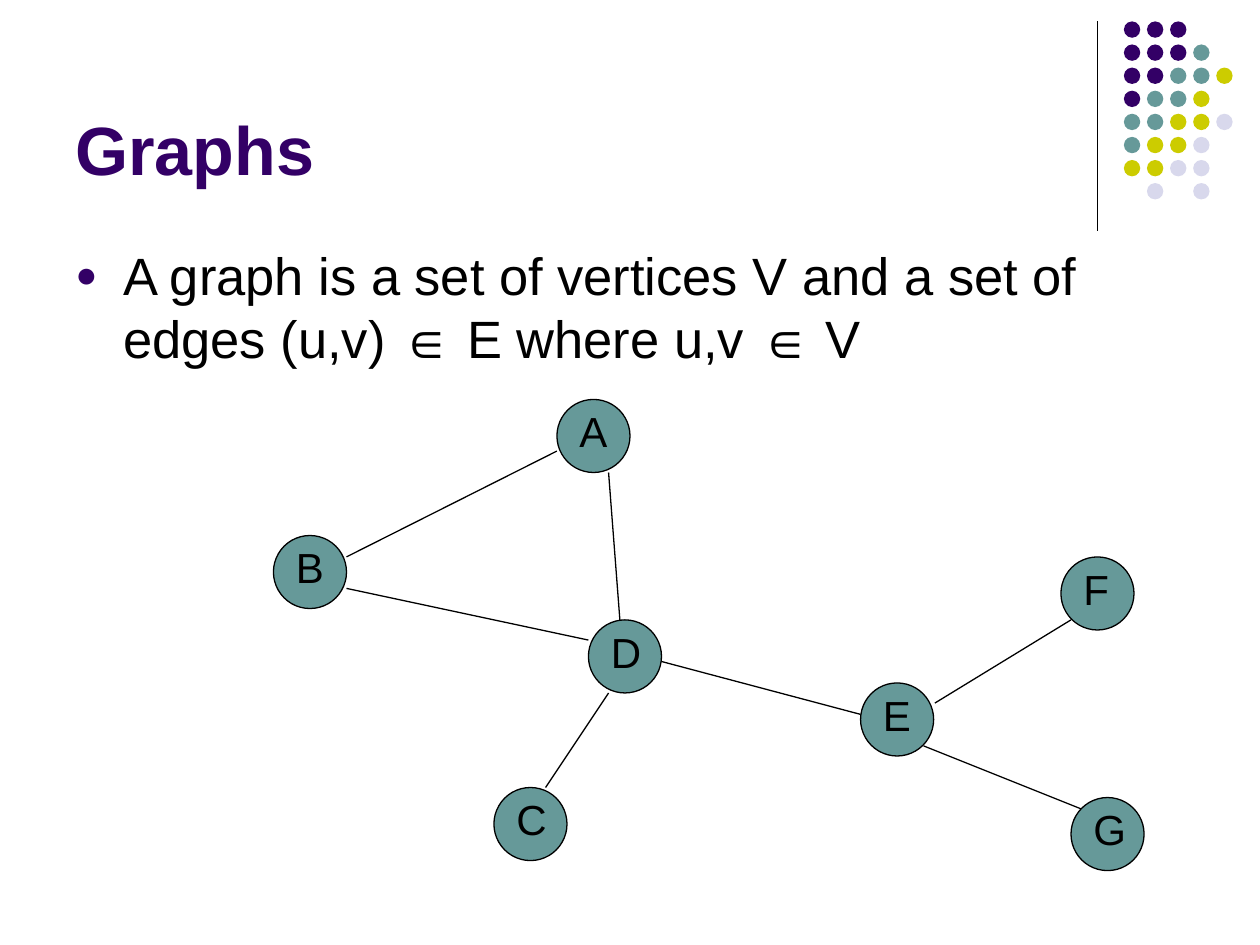
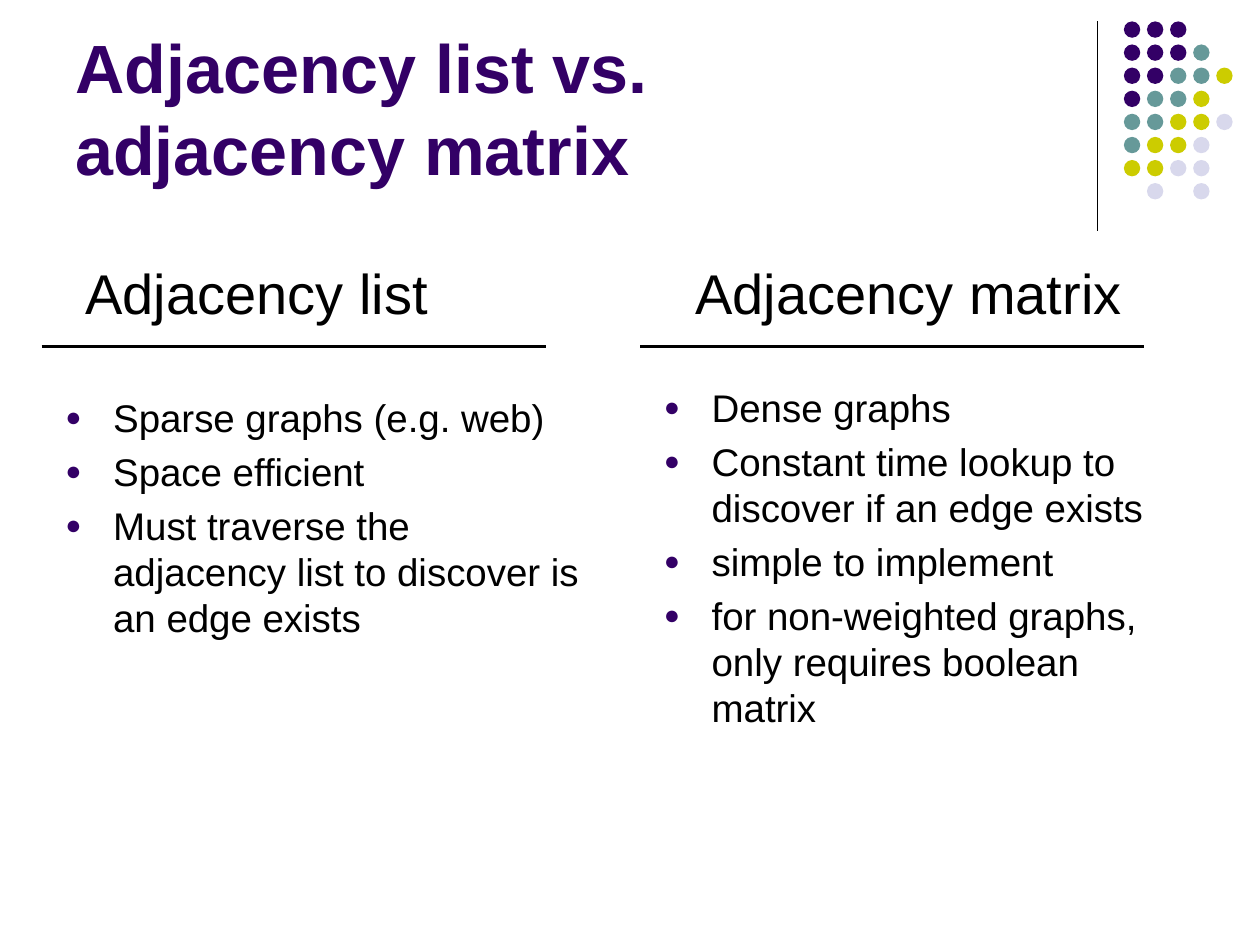
from dataclasses import dataclass

from lxml import etree
from pptx import Presentation
from pptx.dml.color import RGBColor
from pptx.enum.shapes import MSO_CONNECTOR, MSO_SHAPE
from pptx.enum.text import MSO_ANCHOR
from pptx.oxml.ns import qn
from pptx.util import Inches, Pt

OVAL = MSO_SHAPE.OVAL
LINE = MSO_CONNECTOR.STRAIGHT
BOTTOM = MSO_ANCHOR.BOTTOM
TOP = MSO_ANCHOR.TOP

HUES = {
    "ink": "000000",
    "plum": "330066",
    "teal": "669999",
    "lime": "CCCC00",
    "mist": "D8D8EC",
}
DOT_HUES = {"p": "plum", "t": "teal", "l": "lime", "m": "mist"}
DOT_ROWS = ["ppp", "pppt", "ppttl", "pttl", "ttllm", "tllm", "llmm", " m m"]
DOT_STEP = 0.55 / 3
DOT_SIZE = 0.13
NODE_SIZE = 0.58


@dataclass
class Box:
    left: float
    top: float
    width: float
    height: float


@dataclass
class Style:
    size: float
    hue: str = "ink"
    bold: bool = False
    bullet: bool = False
    anchor: int = TOP


@dataclass
class Node:
    name: str
    left: float
    top: float


@dataclass
class Edge:
    x1: float
    y1: float
    x2: float
    y2: float


@dataclass
class Column:
    head: str
    head_box: Box
    body_box: Box
    rule: Edge
    items: list[str]


TITLE = Style(39, "plum", bold=True, anchor=BOTTOM)
LEAD = Style(30, bullet=True)
HEAD = Style(32)
ITEM = Style(22, bullet=True)
LABEL = Style(24)
TITLE_BOX = Box(0.5, 0.13, 8.25, 1.42)

NODES = [
    Node("A", 4.42, 3.17),
    Node("B", 2.17, 4.25),
    Node("C", 3.92, 6.25),
    Node("E", 6.83, 5.42),
    Node("D", 4.67, 4.92),
    Node("F", 8.42, 4.42),
    Node("G", 8.5, 6.33),
]
EDGES = [
    Edge(2.75, 4.42, 4.42, 3.58),
    Edge(2.75, 4.67, 4.67, 5.08),
    Edge(4.92, 4.92, 4.83, 3.75),
    Edge(4.83, 5.5, 4.33, 6.25),
    Edge(5.25, 5.25, 6.83, 5.67),
    Edge(7.42, 5.58, 8.5, 4.92),
    Edge(7.33, 5.92, 8.58, 6.42),
]
COLUMNS = [
    Column(
        "Adjacency list",
        Box(0.58, 2, 3.17, 0.63),
        Box(0.42, 3.08, 4.33, 2.83),
        Edge(0.33, 2.75, 4.33, 2.75),
        [
            "Sparse graphs (e.g. web)",
            "Space efficient",
            "Must traverse the adjacency list to discover is an edge exists",
        ],
    ),
    Column(
        "Adjacency matrix",
        Box(5.42, 2, 3.67, 0.63),
        Box(5.17, 3, 4.33, 2.83),
        Edge(5.08, 2.75, 9.08, 2.75),
        [
            "Dense graphs",
            "Constant time lookup to discover if an edge exists",
            "simple to implement",
            "for non-weighted graphs, only requires boolean matrix",
        ],
    ),
]


def color(hue: str) -> RGBColor:
    return RGBColor.from_string(HUES[hue])


def place(box: Box) -> list[int]:
    return [Inches(v) for v in (box.left, box.top, box.width, box.height)]


def add_bullet(para) -> None:
    props = para._p.get_or_add_pPr()
    props.set("marL", str(Inches(0.38)))
    props.set("indent", str(-Inches(0.38)))
    tint = etree.SubElement(props, qn("a:buClr"))
    etree.SubElement(tint, qn("a:srgbClr"), val=HUES["plum"])
    etree.SubElement(props, qn("a:buSzPct"), val="70000")
    etree.SubElement(props, qn("a:buFont"), typeface="Arial")
    etree.SubElement(props, qn("a:buChar"), char="●")


def add_text(slide, box: Box, style: Style, lines: list[str]) -> None:
    frame = slide.shapes.add_textbox(*place(box)).text_frame
    frame.word_wrap = True
    frame.vertical_anchor = style.anchor
    font = {"name": "Arial", "size": Pt(style.size), "bold": style.bold}
    for i, line in enumerate(lines):
        para = frame.add_paragraph() if i else frame.paragraphs[0]
        para.text = line
        para.space_before = Pt(style.size * 0.2 if i else 0)
        if style.bullet:
            add_bullet(para)
        for run in para.runs:
            for key, value in font.items():
                setattr(run.font, key, value)
            run.font.color.rgb = color(style.hue)


def add_line(slide, edge: Edge, width: float = 0.75) -> None:
    ends = [Inches(v) for v in (edge.x1, edge.y1, edge.x2, edge.y2)]
    line = slide.shapes.add_connector(LINE, *ends)
    line.line.color.rgb = color("ink")
    line.line.width = Pt(width)
    etree.SubElement(line._element.spPr, qn("a:effectLst"))


def add_oval(slide, box: Box, hue: str, edged: bool = False) -> None:
    oval = slide.shapes.add_shape(OVAL, *place(box))
    oval.shadow.inherit = False
    oval.fill.solid()
    oval.fill.fore_color.rgb = color(hue)
    if edged:
        oval.line.color.rgb = color("ink")
        oval.line.width = Pt(0.75)
    else:
        oval.line.fill.background()


def add_node(slide, node: Node) -> None:
    add_oval(slide, Box(node.left, node.top, NODE_SIZE, NODE_SIZE), "teal", True)
    add_text(slide, Box(node.left + 0.08, node.top, 0.5, 0.5), LABEL, [node.name])


def add_base(deck, title: str):
    slide = deck.slides.add_slide(deck.slide_layouts[6])
    add_line(slide, Edge(8.71, 0.17, 8.71, 1.83))
    for r, row in enumerate(DOT_ROWS):
        for c, key in enumerate(row):
            if key in DOT_HUES:
                left, top = 8.92 + c * DOT_STEP, 0.17 + r * DOT_STEP
                add_oval(slide, Box(left, top, DOT_SIZE, DOT_SIZE), DOT_HUES[key])
    add_text(slide, TITLE_BOX, TITLE, [title])
    return slide


def add_graph(deck) -> None:
    slide = add_base(deck, "Graphs")
    lead = "A graph is a set of vertices V and a set of edges (u,v) ∈ E where u,v ∈ V"
    add_text(slide, Box(0.5, 1.88, 9, 1.45), LEAD, [lead])
    for node in NODES:
        add_node(slide, node)
    for edge in EDGES:
        add_line(slide, edge)


def add_match(deck) -> None:
    slide = add_base(deck, "Adjacency list vs.\vadjacency matrix")
    for col in COLUMNS:
        add_text(slide, col.head_box, HEAD, [col.head])
        add_text(slide, col.body_box, ITEM, col.items)
        add_line(slide, col.rule, 2.25)


def main() -> None:
    deck = Presentation()
    deck.slide_width, deck.slide_height = Inches(10), Inches(7.5)
    add_graph(deck)
    add_match(deck)
    deck.save("out.pptx")


if __name__ == "__main__":
    main()
